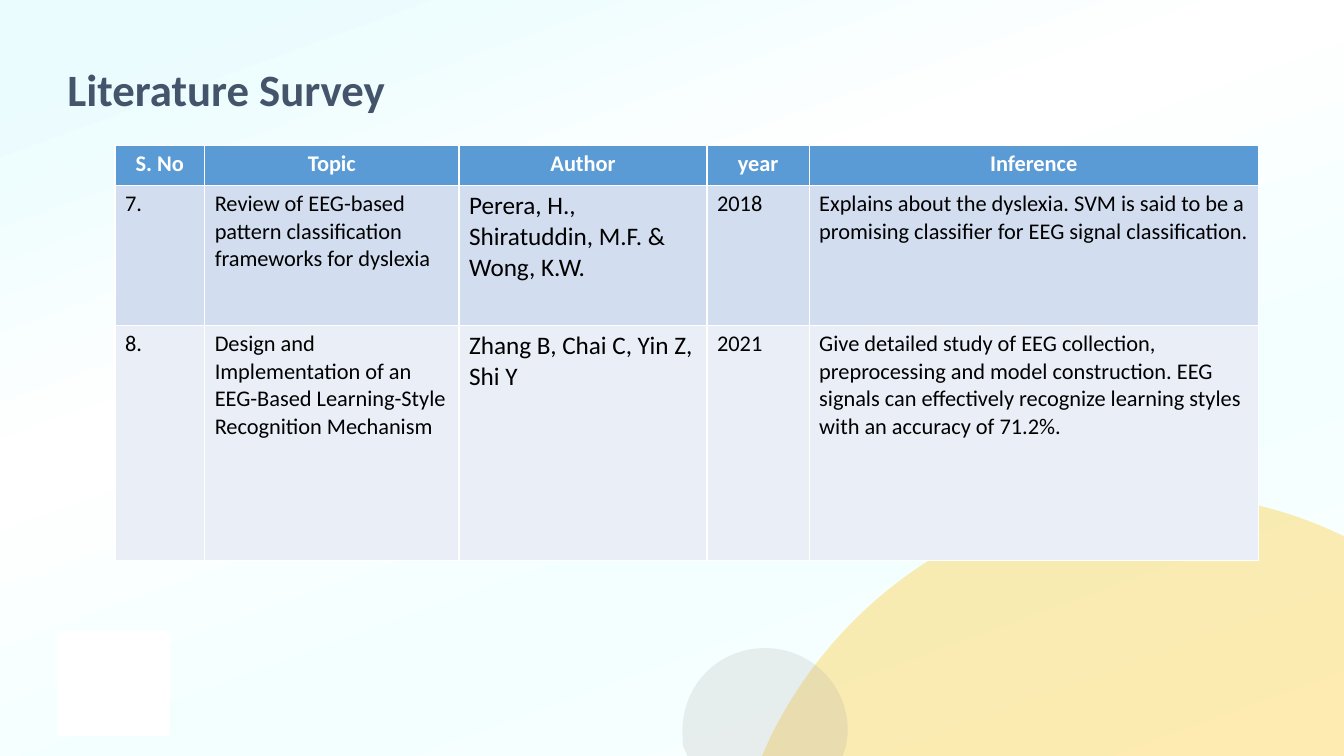
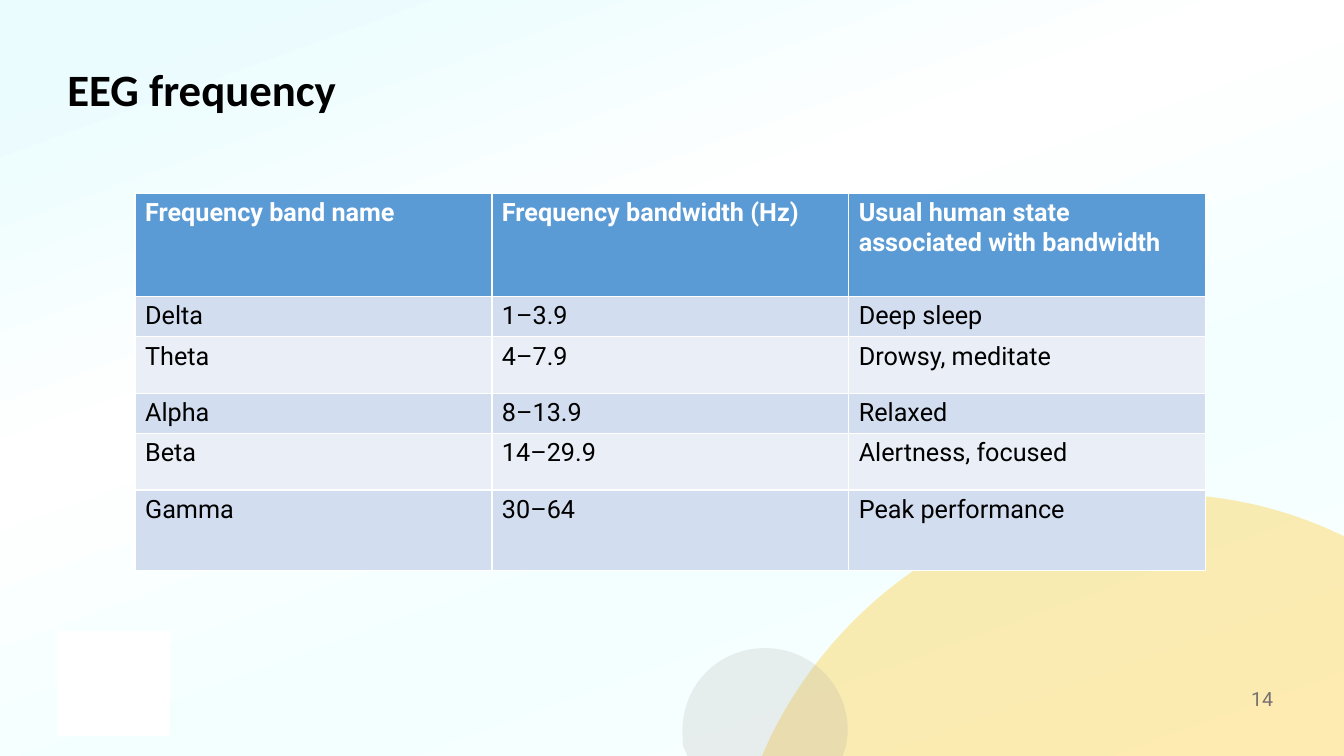
from dataclasses import dataclass, field

from lxml import etree
from pptx import Presentation
from pptx import util as u
from pptx.dml.color import RGBColor
from pptx.enum import shapes, text
from pptx.oxml.ns import qn

WIDTH, HEIGHT = u.Inches(13.333), u.Inches(7.5)
WHITE = RGBColor(0xFF, 0xFF, 0xFF)
BLACK = RGBColor(0x00, 0x00, 0x00)
SLATE = RGBColor(0x44, 0x54, 0x6A)
GREY = RGBColor(0x76, 0x71, 0x71)
SILVER = RGBColor(0xA5, 0xA5, 0xA5)
AMBER = RGBColor(0xFF, 0xC0, 0x00)
BLUE = RGBColor(0x5B, 0x9B, 0xD5)
BANDS = (RGBColor(0xD2, 0xDE, 0xEF), RGBColor(0xEA, 0xEF, 0xF7))
BACKGROUND = (
    (7, RGBColor(0xEA, 0xFC, 0xFE)),
    (38, WHITE),
    (66, RGBColor(0xF3, 0xFF, 0xFF)),
    (100, RGBColor(0xFD, 0xFF, 0xFE)),
)
GRADIENT_ANGLE = 70

Point = tuple[float, float]


def across(share: float) -> int:
    return round(WIDTH * share / 100)


def down(share: float) -> int:
    return round(HEIGHT * share / 100)


@dataclass(frozen=True)
class Box:
    left: float
    top: float
    width: float
    height: float

    def place(self) -> tuple[int, int, int, int]:
        return across(self.left), down(self.top), across(self.width), down(self.height)


@dataclass(frozen=True)
class Disc:
    start: Point
    segments: tuple[tuple[Point, ...], ...]
    color: RGBColor
    opacity: int


@dataclass(frozen=True)
class Grid:
    left: float
    top: float
    columns: tuple[float, ...]
    rows: tuple[float, ...]
    cells: tuple[tuple[str, ...], ...]
    font: str
    size: int
    header_align: text.PP_ALIGN = text.PP_ALIGN.LEFT
    column_sizes: dict[int, int] = field(default_factory=dict)


@dataclass(frozen=True)
class Page:
    title: str
    title_color: RGBColor
    grid: Grid
    number: str = ""


TITLE = Box(4.28, 8.27, 91.2, 9.33)
BADGE = Box(4.28, 83.6, 8.33, 13.6)
NUMBER = Box(72.97, 90.27, 22.5, 5.33)
DISCS = (
    Disc(
        (86.25, 65.33),
        (
            ((90.68, 65.33), (94.88, 66.93), (98.7, 69.87)),
            ((100, 70.93),),
            ((100, 100),),
            ((56.7, 100),),
            ((57.3, 97.6),),
            ((62.55, 78.53), (73.5, 65.33), (86.25, 65.33)),
        ),
        AMBER,
        30,
    ),
    Disc(
        (56.93, 85.73),
        (
            ((60.3, 85.73), (63.08, 90.53), (63.08, 96.67)),
            ((63.08, 97.33), (63, 98.13), (62.93, 98.8)),
            ((62.7, 100),),
            ((51.15, 100),),
            ((50.85, 98.8),),
            ((50.78, 98.13), (50.78, 97.33), (50.78, 96.67)),
            ((50.78, 90.53), (53.48, 85.73), (56.93, 85.73)),
        ),
        SILVER,
        20,
    ),
)

PAGES = (
    Page(
        "Literature Survey",
        SLATE,
        Grid(
            8.55,
            19.2,
            (6.68, 18.93, 18.45, 7.6, 33.42),
            (5.33, 18.53, 31.07),
            (
                ("S. No", "Topic", "Author", "year", "Inference"),
                (
                    "7.",
                    "Review of EEG-based pattern classification frameworks for dyslexia",
                    "Perera, H., Shiratuddin, M.F. & Wong, K.W.",
                    "2018",
                    "Explains about the dyslexia. SVM is said to be a promising "
                    "classifier for EEG signal classification.",
                ),
                (
                    "8.",
                    "Design and Implementation of an EEG-Based Learning-Style "
                    "Recognition Mechanism",
                    "Zhang B, Chai C, Yin Z, Shi Y",
                    "2021",
                    "Give detailed study of EEG collection, preprocessing and model "
                    "construction. EEG signals can effectively recognize learning "
                    "styles with an accuracy of 71.2%.",
                ),
            ),
            "Calibri",
            16,
            text.PP_ALIGN.CENTER,
            {2: 18},
        ),
    ),
    Page(
        "EEG frequency",
        BLACK,
        Grid(
            10.05,
            25.6,
            (26.55,) * 3,
            (13.6, 4.4, 7.47, 4.4, 7.47, 10.67),
            (
                (
                    "Frequency band name",
                    "Frequency bandwidth (Hz)",
                    "Usual human state associated with bandwidth",
                ),
                ("Delta", "1–3.9", "Deep sleep"),
                ("Theta", "4–7.9", "Drowsy, meditate"),
                ("Alpha", "8–13.9", "Relaxed"),
                ("Beta", "14–29.9", "Alertness, focused"),
                ("Gamma", "30–64", "Peak performance"),
            ),
            "Roboto",
            18,
        ),
        "14",
    ),
)


def write(tf, content: str, color: RGBColor, para: dict, font: dict) -> None:
    p = tf.paragraphs[0]
    r = p.add_run()
    r.text = content
    r.font.color.rgb = color
    for target, values in ((p, para), (r.font, font)):
        for name, value in values.items():
            setattr(target, name, value)


def add_text(s, box: Box, content: str, color: RGBColor, para: dict, font: dict) -> None:
    tf = s.shapes.add_textbox(*box.place()).text_frame
    tf.word_wrap = True
    tf.vertical_anchor = text.MSO_ANCHOR.TOP
    write(tf, content, color, para, font)


def set_background(master) -> None:
    fill = master.background.fill
    fill.gradient()
    fill.gradient_angle = 360 - GRADIENT_ANGLE
    stops = master.background._cSld.find(".//" + qn("a:gsLst"))
    for stop in list(stops):
        stops.remove(stop)
    for position, color in BACKGROUND:
        stop = etree.SubElement(stops, qn("a:gs"), pos=str(position * 1000))
        etree.SubElement(stop, qn("a:srgbClr"), val=str(color))


def add_disc(s, disc: Disc) -> None:
    builder = s.shapes.build_freeform(across(disc.start[0]), down(disc.start[1]))
    points = [(across(x), down(y)) for segment in disc.segments for x, y in segment]
    builder.add_line_segments(points, close=True)
    sp = builder.convert_to_shape()
    lines = iter(list(sp._element.iter(qn("a:lnTo"))))
    for segment in disc.segments:
        first, *others = [next(lines) for _ in segment]
        if others:
            curve = etree.Element(qn("a:cubicBezTo"))
            first.addprevious(curve)
            for line in (first, *others):
                curve.append(line[0])
                line.getparent().remove(line)
    sp.shadow.inherit = False
    sp.line.fill.background()
    sp.fill.solid()
    sp.fill.fore_color.rgb = disc.color
    color = sp._element.spPr.find(qn("a:solidFill")).find(qn("a:srgbClr"))
    etree.SubElement(color, qn("a:alpha"), val=str(disc.opacity * 1000))


def add_badge(s) -> None:
    sp = s.shapes.add_shape(shapes.MSO_SHAPE.RECTANGLE, *BADGE.place())
    sp.shadow.inherit = False
    for fill in (sp.fill, sp.line.fill):
        fill.solid()
        fill.fore_color.rgb = WHITE
    sp.line.width = u.Pt(1)


def add_grid(s, grid: Grid) -> None:
    box = Box(grid.left, grid.top, sum(grid.columns), sum(grid.rows))
    table = s.shapes.add_table(len(grid.rows), len(grid.columns), *box.place()).table
    for column, width in zip(table.columns, grid.columns):
        column.width = across(width)
    for i, (row, height) in enumerate(zip(table.rows, grid.rows)):
        row.height = down(height)
        header = i == 0
        for j, cell in enumerate(row.cells):
            cell.fill.solid()
            cell.fill.fore_color.rgb = BLUE if header else BANDS[(i - 1) % 2]
            size = grid.size if header else grid.column_sizes.get(j, grid.size)
            write(
                cell.text_frame,
                grid.cells[i][j],
                WHITE if header else BLACK,
                {"alignment": grid.header_align if header else text.PP_ALIGN.LEFT},
                {"name": grid.font, "size": u.Pt(size), "bold": header},
            )


def add_page(prs, page: Page) -> None:
    s = prs.slides.add_slide(prs.slide_layouts[6])
    for disc in DISCS:
        add_disc(s, disc)
    add_badge(s)
    add_text(
        s, TITLE, page.title, page.title_color,
        {"line_spacing": 0.9},
        {"name": "Calibri", "size": u.Pt(32), "bold": True},
    )
    if page.number:
        add_text(
            s, NUMBER, page.number, GREY,
            {"alignment": text.PP_ALIGN.RIGHT},
            {"name": "Roboto", "size": u.Pt(14)},
        )
    add_grid(s, page.grid)


def main() -> None:
    prs = Presentation()
    prs.slide_width, prs.slide_height = WIDTH, HEIGHT
    set_background(prs.slide_master)
    for page in PAGES:
        add_page(prs, page)
    prs.save("out.pptx")


if __name__ == "__main__":
    main()
